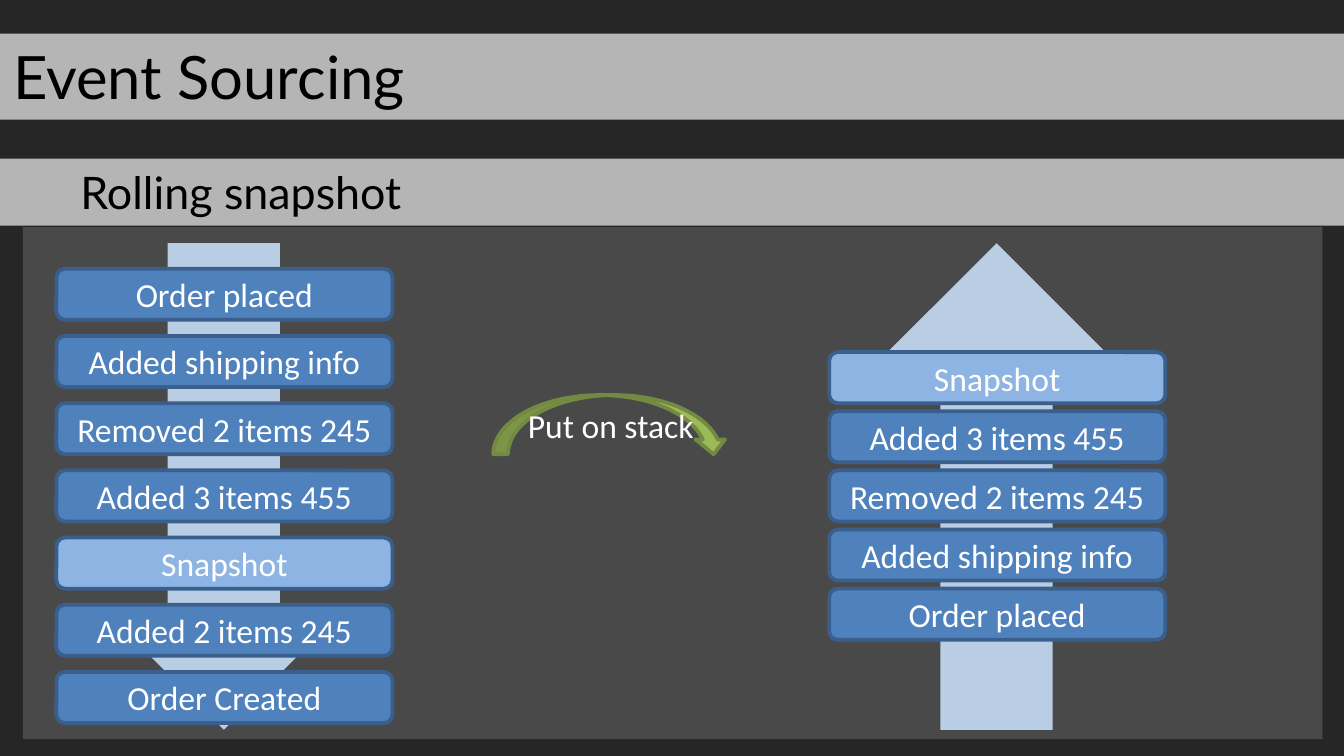
from lxml import etree
from pptx import Presentation
from pptx.dml.color import RGBColor
from pptx.enum.shapes import MSO_SHAPE
from pptx.enum.text import MSO_ANCHOR, PP_ALIGN
from pptx.oxml.ns import qn
from pptx.util import Inches, Pt

RECT, ROUNDED = MSO_SHAPE.RECTANGLE, MSO_SHAPE.ROUNDED_RECTANGLE
UP_ARROW, CURVED_ARROW = MSO_SHAPE.UP_ARROW, MSO_SHAPE.CURVED_DOWN_ARROW
LEFT, CENTER = PP_ALIGN.LEFT, PP_ALIGN.CENTER
TOP, MIDDLE = MSO_ANCHOR.TOP, MSO_ANCHOR.MIDDLE

BACKGROUND, PANEL, PALE_BLUE = "262626", "D9D9D9", "B9CDE5"
BLUE, LIGHT_BLUE, BLUE_LINE = "4F81BD", "8EB4E3", "3A5F8C"
GREEN, GREEN_LINE = "9BBB59", "738A42"
HEADING = {"name": "Lato", "color": "000000"}
LABEL = {"name": "Calibri", "size": Pt(18), "color": "FFFFFF"}

EVENTS = ["Order placed", "Added shipping info", "Removed 2 items 245",
          "Added 3 items 455", "Snapshot", "Added 2 items 245", "Order Created"]


def rgb(color):
    return RGBColor.from_string(color)


def add_shape(s, kind, box, fill, line=None, alpha=None):
    """Add a flat preset shape; alpha is its opacity in percent."""
    sp = s.shapes.add_shape(kind, *map(Inches, box))
    sp.shadow.inherit = False
    sp.fill.solid()
    sp.fill.fore_color.rgb = rgb(fill)
    if alpha is not None:
        clr = sp.fill._xPr.find(qn("a:solidFill")).find(qn("a:srgbClr"))
        etree.SubElement(clr, qn("a:alpha"), val=str(alpha * 1000))
    if line:
        sp.line.color.rgb = rgb(line)
        sp.line.width = Pt(2)
    else:
        sp.line.fill.background()
    return sp


def set_text(sp, text, font, align=CENTER, anchor=MIDDLE, indent=0):
    tf = sp.text_frame
    tf.word_wrap = True
    tf.vertical_anchor = anchor
    p = tf.paragraphs[0]
    p.alignment = align
    if indent:
        p.level = 1
        pPr = p._p.get_or_add_pPr()
        pPr.set("marL", str(Inches(indent)))
        pPr.set("indent", "0")
    r = p.add_run()
    r.text = text
    for name, value in font.items():
        if name == "color":
            r.font.color.rgb = rgb(value)
        else:
            setattr(r.font, name, value)


def add_heading(s, text, top, height, size, indent=0):
    sp = add_shape(s, RECT, (0, top, 10, height), PANEL, alpha=80)
    set_text(sp, text, {**HEADING, "size": Pt(size)}, LEFT, TOP, indent)


def add_stack(s, events, left, top, pitch):
    for i, event in enumerate(events):
        fill = LIGHT_BLUE if event == "Snapshot" else BLUE
        box = (left, top + i * pitch, 2.5, 0.38)
        set_text(add_shape(s, ROUNDED, box, fill, BLUE_LINE), event, LABEL)


def add_direction(s, left, rotation=0):
    sp = add_shape(s, UP_ARROW, (left, 1.81, 1.67, 3.62), PALE_BLUE)
    sp.rotation = rotation


def main():
    prs = Presentation()
    prs.slide_width = Inches(10)
    prs.slide_height = prs.slide_width * 9 // 16
    s = prs.slides.add_slide(prs.slide_layouts[6])
    s.background.fill.solid()
    s.background.fill.fore_color.rgb = rgb(BACKGROUND)

    add_heading(s, "Event Sourcing", 0.25, 0.64, 32)
    add_heading(s, "Rolling snapshot", 1.18, 0.5, 24, indent=0.5)
    add_shape(s, RECT, (0.17, 1.69, 9.67, 3.81), PANEL, alpha=20)

    add_direction(s, 0.83, rotation=180)
    add_stack(s, EVENTS, 0.42, 2, 0.5)

    push = add_shape(s, CURVED_ARROW, (3.67, 2.94, 1.75, 0.44), GREEN, GREEN_LINE)
    set_text(push, "Put on stack", LABEL)

    add_direction(s, 6.58)
    up_to_snapshot = EVENTS[:EVENTS.index("Snapshot") + 1]
    add_stack(s, reversed(up_to_snapshot), 6.17, 2.62, 0.44)

    prs.save("out.pptx")


if __name__ == "__main__":
    main()
